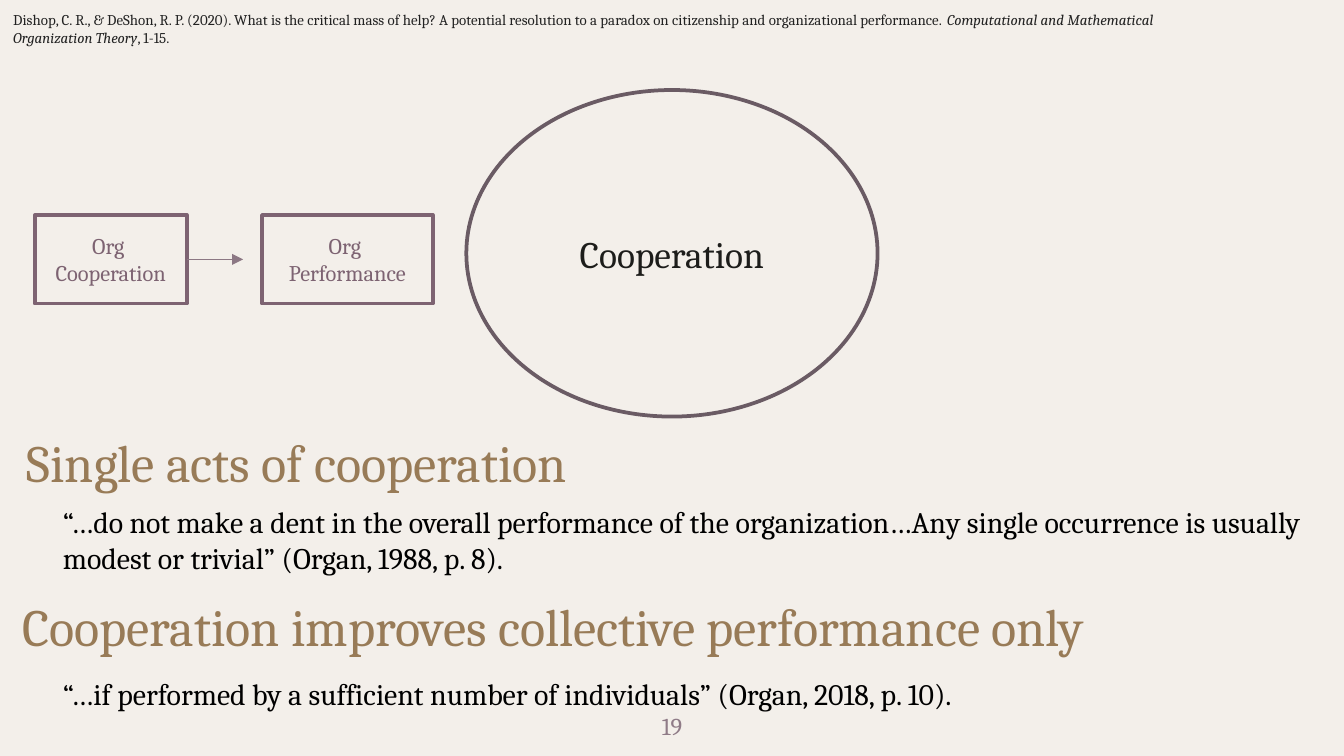
"""Build the slide on single acts of cooperation and collective performance."""
from lxml.etree import SubElement
from pptx import Presentation
from pptx.dml.color import RGBColor
from pptx.enum.shapes import MSO_CONNECTOR as Connector, MSO_SHAPE as Shape
from pptx.enum.text import MSO_ANCHOR as Anchor, MSO_AUTO_SIZE as AutoSize, PP_ALIGN as Align
from pptx.oxml.ns import qn
from pptx.util import Inches, Pt

FONT = "Cambria"
COLORS = {
    "background": "F3EFEA", "ink": "000000", "citation": "222222",
    "label": "1D1D1B", "heading": "987B57", "box": "7D6372",
    "ellipse": "6A5B64", "arrow": "8C7884", "number": "8F7B87",
}
WIDTH = 10
HEIGHT = WIDTH * 9 / 16
BOX_TOP, BOX_HEIGHT = 1.6, 0.66


def color(name):
    """Return the named colour."""
    return RGBColor.from_string(COLORS[name])


def write(frame, text, size, ink, align=Align.LEFT, anchor=Anchor.TOP, wrap=True, inset=0.05):
    """Fill a text frame, one paragraph a line, with *asterisks* marking italics."""
    frame.word_wrap = wrap
    frame.auto_size = AutoSize.NONE
    frame.vertical_anchor = anchor
    frame.margin_left = frame.margin_right = Inches(0.1)
    frame.margin_top = frame.margin_bottom = Inches(inset)
    for number, line in enumerate(text.split("\n")):
        paragraph = frame.add_paragraph() if number else frame.paragraphs[0]
        paragraph.alignment = align
        for position, part in enumerate(line.split("*")):
            run = paragraph.add_run()
            run.text = part
            run.font.name = FONT
            run.font.size = Pt(size)
            run.font.italic = position % 2 == 1
            run.font.color.rgb = color(ink)


def add_text(slide, text, place, **style):
    """Add a text box at the given left, top, width and height."""
    box = slide.shapes.add_textbox(*map(Inches, place))
    write(box.text_frame, text, **style)


def set_title(slide, text, place, **style):
    """Move the title placeholder and fill it."""
    title = slide.shapes.title
    title.left, title.top, title.width, title.height = map(Inches, place)
    write(title.text_frame, text, **style)


def add_outline(slide, kind, text, place, line, **style):
    """Add an unfilled shape with a centred label."""
    shape = slide.shapes.add_shape(kind, *map(Inches, place))
    shape.shadow.inherit = False
    shape.fill.background()
    shape.line.color.rgb = color(line)
    shape.line.width = Pt(2)
    write(shape.text_frame, text, align=Align.CENTER, anchor=Anchor.MIDDLE, **style)


def add_arrow(slide, start, end, height):
    """Add a horizontal arrow from start to end."""
    arrow = slide.shapes.add_connector(
        Connector.STRAIGHT, *map(Inches, (start, height, end, height)))
    arrow.line.color.rgb = color("arrow")
    arrow.line.width = Pt(0.75)
    SubElement(arrow.line._get_or_add_ln(), qn("a:tailEnd"), type="triangle")
    SubElement(arrow._element.spPr, qn("a:effectLst"))


def main():
    """Compose the slide and save it."""
    presentation = Presentation()
    presentation.slide_width, presentation.slide_height = Inches(WIDTH), Inches(HEIGHT)
    slide = presentation.slides.add_slide(presentation.slide_layouts[5])
    slide.background.fill.solid()
    slide.background.fill.fore_color.rgb = color("background")

    heading = {"size": 28, "ink": "heading"}
    quote = {"size": 16, "ink": "ink"}
    set_title(slide, "Single acts of cooperation", (0.1, 3.15, 6.74, 0.57), **heading)
    add_text(slide, "“…do not make a dent in the overall performance of the organization…"
             "Any single occurrence is usually modest or trivial” (Organ, 1988, p. 8).",
             (0.37, 3.7, 9.51, 0.64), **quote)
    add_text(slide, "Cooperation improves collective performance only",
             (0.07, 4.37, 9.51, 0.57), **heading)
    add_text(slide, "“…if performed by a sufficient number of individuals” (Organ, 2018, p. 10).",
             (0.37, 4.98, 7.65, 0.37), wrap=False, **quote)
    add_text(slide, "Dishop, C. R., & DeShon, R. P. (2020). What is the critical mass of help? "
             "A potential resolution to a paradox on citizenship and organizational performance. "
             "*Computational and Mathematical Organization Theory*, 1-15.",
             (0, 0.03, 9.23, 0.37), size=8, ink="citation")
    add_text(slide, "19", (4.7, 5.19, 0.6, 0.43), size=13, ink="number",
             align=Align.CENTER, inset=0.1)

    add_outline(slide, Shape.OVAL, "Cooperation", (3.47, 0.67, 3.06, 2.43),
                "ellipse", size=20, ink="label")
    for text, left, width in (("Org \nCooperation", 0.26, 1.13), ("Org \nPerformance", 1.95, 1.27)):
        add_outline(slide, Shape.RECTANGLE, text, (left, BOX_TOP, width, BOX_HEIGHT),
                    "box", size=12, ink="box")
    add_arrow(slide, 1.39, 1.81, BOX_TOP + BOX_HEIGHT / 2)
    presentation.save("out.pptx")


if __name__ == "__main__":
    main()
